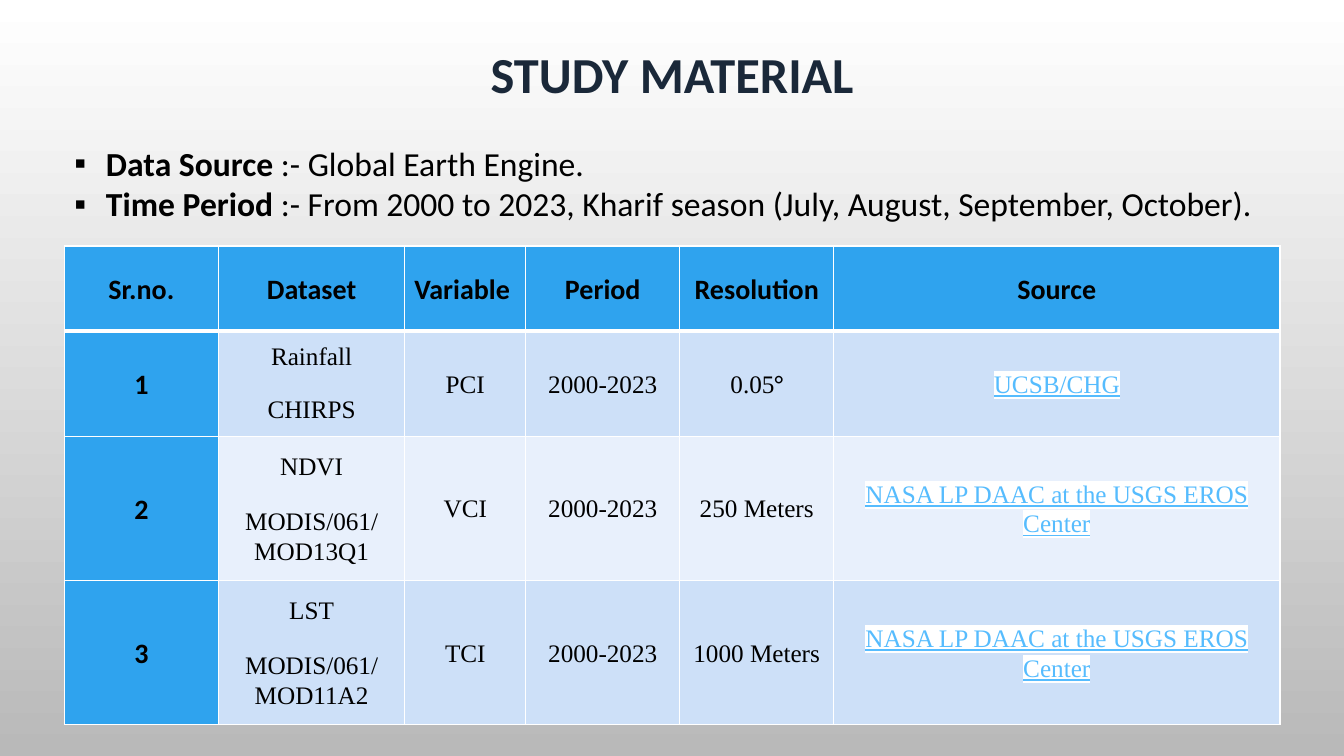
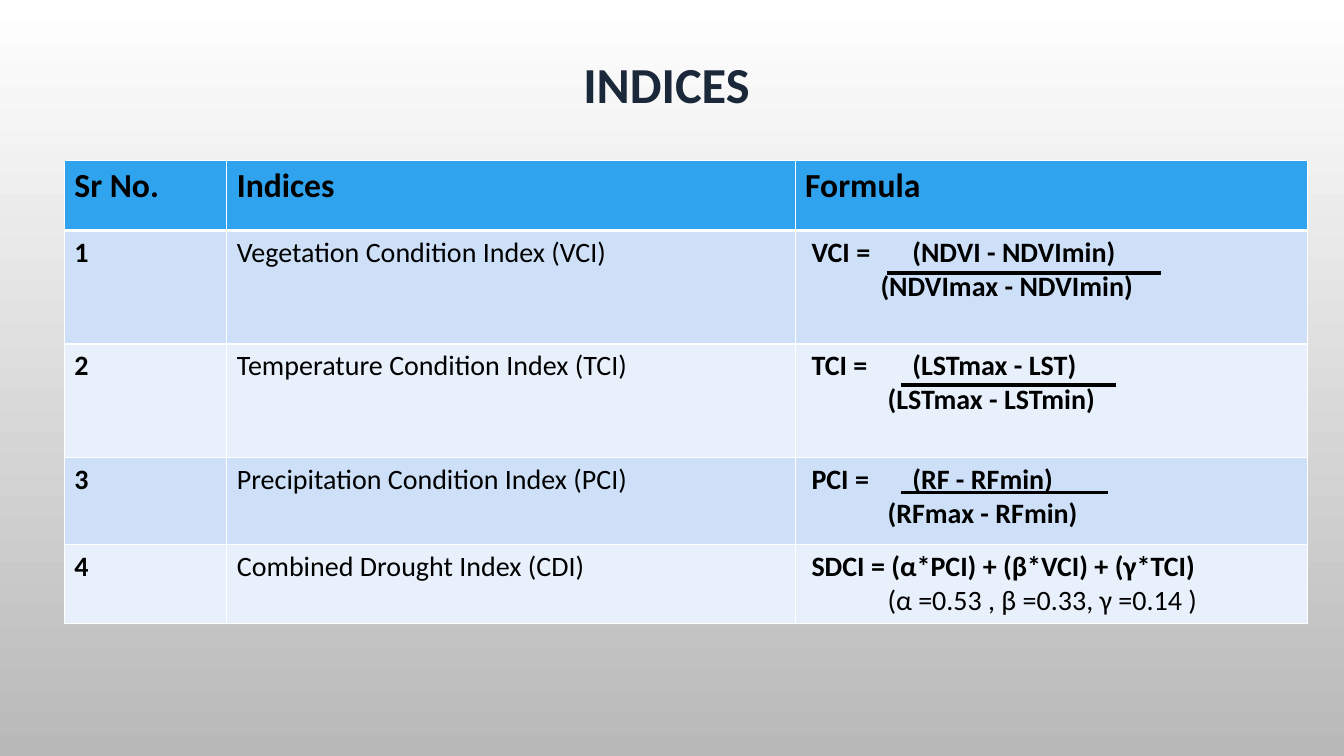
import pptx
import pptx.dml.color
import pptx.enum.shapes
import pptx.enum.text
import pptx.oxml
import pptx.oxml.ns
import pptx.util
from lxml import etree

Pt = pptx.util.Pt
qn = pptx.oxml.ns.qn
ALIGN = pptx.enum.text.PP_ALIGN
ANCHOR = pptx.enum.text.MSO_ANCHOR

# Theme
THEME = {
    "sans": "Calibri", "serif": "Times New Roman",
    "ink": "000000", "title": "1A2839", "link": "56BCFE", "white": "FFFFFF",
    "grey": "B9B9B9", "head": "2FA3EE", "bands": ("CDE0F8", "E8F0FC"),
    "big": 36, "lead": 24, "mid": 20, "small": 18,
}
LEFT = 46
WIDTH = 868.3

# Content: study material
BOLD, PLAIN = {"bold": True}, {"bold": False}
FACTS = [
    [("Data Source ", BOLD), (":- Global Earth Engine.", PLAIN)],
    [("Time Period", BOLD),
     (" :- From 2000 to 2023, Kharif season (July, August, September, October).", PLAIN)],
]
SPAN = "2000-2023"
CENTER = "NASA LP DAAC at the USGS EROS Center"
DATA_HEAD = ["Sr.no.", "Dataset", "Variable ", "Period", "Resolution", "Source"]
DATA = [
    ["1", ["Rainfall", "CHIRPS"], "PCI", SPAN,
     [[("0.05", {}), ("°", {"face": THEME["sans"]})]], "UCSB/CHG"],
    ["2", ["NDVI", "MODIS/061/MOD13Q1"], "VCI", SPAN, "250 Meters", CENTER],
    ["3", ["LST", "MODIS/061/MOD11A2"], "TCI", SPAN, "1000 Meters", CENTER],
]
DATA_COLS = [110, 133.2, 86.4, 110, 110, 318.7]
DATA_ROWS = [61, 75, 103, 103]

# Content: indices, each with formula lines, numerator tab and lower-line indent
INDEX_HEAD = ["Sr No.", "Indices", "Formula"]
INDEX = [
    ("Vegetation Condition Index (VCI)",
     "VCI =\t(NDVI - NDVImin)", "(NDVImax - NDVImin)", 64.3, 49.3),
    ("Temperature Condition Index (TCI)",
     "TCI =\t(LSTmax - LST)", "(LSTmax - LSTmin)", 67, 54.3),
    ("Precipitation Condition Index (PCI)",
     "PCI =\t(RF - RFmin)", "(RFmax - RFmin)", 68.4, 54.3),
    ("Combined Drought Index (CDI)",
     "SDCI = (α*PCI) + (β*VCI) + (γ*TCI)", "(α =0.53 , β =0.33, γ =0.14 )", None, 54.3),
]
INDEX_COLS = [116, 406, 366]
INDEX_ROWS = [50, 81, 81, 62.5, 56.5]
BARS = [(633.6, 829.4, 195), (643.7, 797, 275), (643.7, 791.3, 352)]


def tint(code):
    return pptx.dml.color.RGBColor.from_string(code)


def add(parent, tag, **attrs):
    node = etree.SubElement(parent, qn(tag))
    for key, value in attrs.items():
        node.set(key, str(value))
    return node


def write(frame, paras, size=20, face=THEME["sans"], color=THEME["ink"], bold=False,
          align=ALIGN.LEFT, lead=1.0, before=0, after=0, line=False, mark=None,
          bullet=None, tabs=(), indents=()):
    """Fill a text frame; a paragraph is a string or a list of (text, format) runs."""
    frame.word_wrap = True
    for n, runs in enumerate([paras] if isinstance(paras, str) else paras):
        para = frame.paragraphs[0] if n == 0 else frame.add_paragraph()
        props = para._p.get_or_add_pPr()
        if bullet:
            props.set("marL", str(Pt(22.5)))
            props.set("indent", str(-Pt(22.5)))
            add(props, "a:buFont", typeface="Arial")
            add(props, "a:buChar", char=bullet)
        elif indents:
            props.set("marL", str(Pt(indents[n])))
            props.set("indent", "0")
        if tabs and n == 0:
            stops = add(props, "a:tabLst")
            for stop in tabs:
                add(stops, "a:tab", pos=Pt(stop), algn="l")
        para.alignment = align
        para.line_spacing = lead
        para.space_before = Pt(before if n else 0)
        para.space_after = Pt(after)
        for text, own in [(runs, {})] if isinstance(runs, str) else runs:
            run = para.add_run()
            run.text = text
            font = run.font
            font.size = Pt(size)
            font.name = own.get("face", face)
            font.bold = own.get("bold", bold)
            font.underline = line
            font.color.rgb = tint(color)
            if mark:
                glow = pptx.oxml.parse_xml(
                    '<a:highlight xmlns:a="http://schemas.openxmlformats.org/drawingml/2006/main">'
                    f'<a:srgbClr val="{mark}"/></a:highlight>')
                font._element.find(qn("a:solidFill")).addnext(glow)


def place(shape, left, top, width, height):
    shape.left, shape.top = Pt(left), Pt(top)
    shape.width, shape.height = Pt(width), Pt(height)


def start(deck, layout, title, top):
    """Add a slide with its title."""
    slide = deck.slides.add_slide(deck.slide_layouts[layout])
    head = slide.shapes.title
    place(head, LEFT, top, WIDTH, 64.8)
    head.text_frame.vertical_anchor = ANCHOR.MIDDLE
    write(head.text_frame, title, size=THEME["big"], color=THEME["title"], bold=True,
          align=ALIGN.CENTER, lead=0.9)
    return slide


def paint(cell, fill, top, base):
    """Draw the white cell borders, then the fill."""
    props = cell._tc.get_or_add_tcPr()
    for side, wide in (("L", 1), ("R", 1), ("T", top), ("B", base)):
        edge = add(props, f"a:ln{side}", w=Pt(wide))
        add(add(edge, "a:solidFill"), "a:srgbClr", val=THEME["white"])
    cell.fill.solid()
    cell.fill.fore_color.rgb = tint(fill)


def grid(slide, top, cols, rows, side):
    """Add a banded table; side tells whether the first column is filled as a head."""
    table = slide.shapes.add_table(len(rows), len(cols), Pt(LEFT), Pt(top),
                                   Pt(sum(cols)), Pt(sum(rows))).table
    table.first_row = table.horz_banding = False
    for col, width in zip(table.columns, cols):
        col.width = Pt(width)
    for r, height in enumerate(rows):
        table.rows[r].height = Pt(height)
        for c in range(len(cols)):
            head = r == 0 or (side and c == 0)
            fill = THEME["head"] if head else THEME["bands"][(r - 1) % 2]
            paint(table.cell(r, c), fill, 3 if r == 1 else 1, 3 if r == 0 else 1)
    return table


def study(deck):
    slide = start(deck, 1, "STUDY MATERIAL", 23)
    table = grid(slide, 175.7, DATA_COLS, DATA_ROWS, True)
    for r, row in enumerate([DATA_HEAD] + DATA):
        for c, text in enumerate(row):
            cell = table.cell(r, c)
            cell.vertical_anchor = ANCHOR.MIDDLE
            cell.margin_left = cell.margin_right = Pt(5)
            cell.margin_top = cell.margin_bottom = 0
            form = {"align": ALIGN.CENTER, "lead": 1.07, "before": 12, "after": 8}
            if r == 0 or c == 0:
                form.update(size=THEME["mid"], bold=True)
            else:
                form.update(size=THEME["small"], face=THEME["serif"])
                if c == 1:
                    form.update(after=6, lead=1.0 if r == 1 else 1.07)
                if c == 5:
                    form.update(color=THEME["link"], line=True, mark=THEME["white"])
            write(cell.text_frame, text, **form)
    body = slide.placeholders[1]
    place(body, LEFT, 98.6, 884, 65.5)
    body.text_frame.vertical_anchor = ANCHOR.TOP
    write(body.text_frame, FACTS, size=THEME["lead"], bullet="▪")


def index(deck):
    slide = start(deck, 5, "INDICES ", 30.2)
    table = grid(slide, 114.7, INDEX_COLS, INDEX_ROWS, False)
    for c, text in enumerate(INDEX_HEAD):
        write(table.cell(0, c).text_frame, text, size=THEME["lead"], bold=True)
    for r, (name, upper, lower, tab, shift) in enumerate(INDEX, 1):
        write(table.cell(r, 0).text_frame, str(r), size=THEME["mid"], bold=True)
        write(table.cell(r, 1).text_frame, name, size=THEME["mid"])
        cell = table.cell(r, 2)
        cell.margin_left = Pt(11.7)
        write(cell.text_frame, [[(upper, BOLD)], [(lower, {"bold": tab is not None})]],
              size=THEME["mid"], tabs=[tab] if tab else (), indents=(0, shift))
    # Fraction bars
    for left, right, y in BARS:
        bar = slide.shapes.add_connector(pptx.enum.shapes.MSO_CONNECTOR.STRAIGHT,
                                         Pt(left), Pt(y), Pt(right), Pt(y))
        bar.line.color.rgb = tint(THEME["ink"])
        bar.line.width = Pt(2.25)
        add(bar._element.spPr, "a:effectLst")


def main():
    deck = pptx.Presentation()
    deck.slide_width, deck.slide_height = Pt(960), Pt(540)
    # Shared background
    fill = deck.slide_master.background.fill
    fill.gradient()
    fill.gradient_angle = 270
    for stop, spot, code in zip(fill.gradient_stops, (0, 1), (THEME["white"], THEME["grey"])):
        stop.position = spot
        stop.color.rgb = tint(code)
    study(deck)
    index(deck)
    deck.save("out.pptx")


if __name__ == "__main__":
    main()
